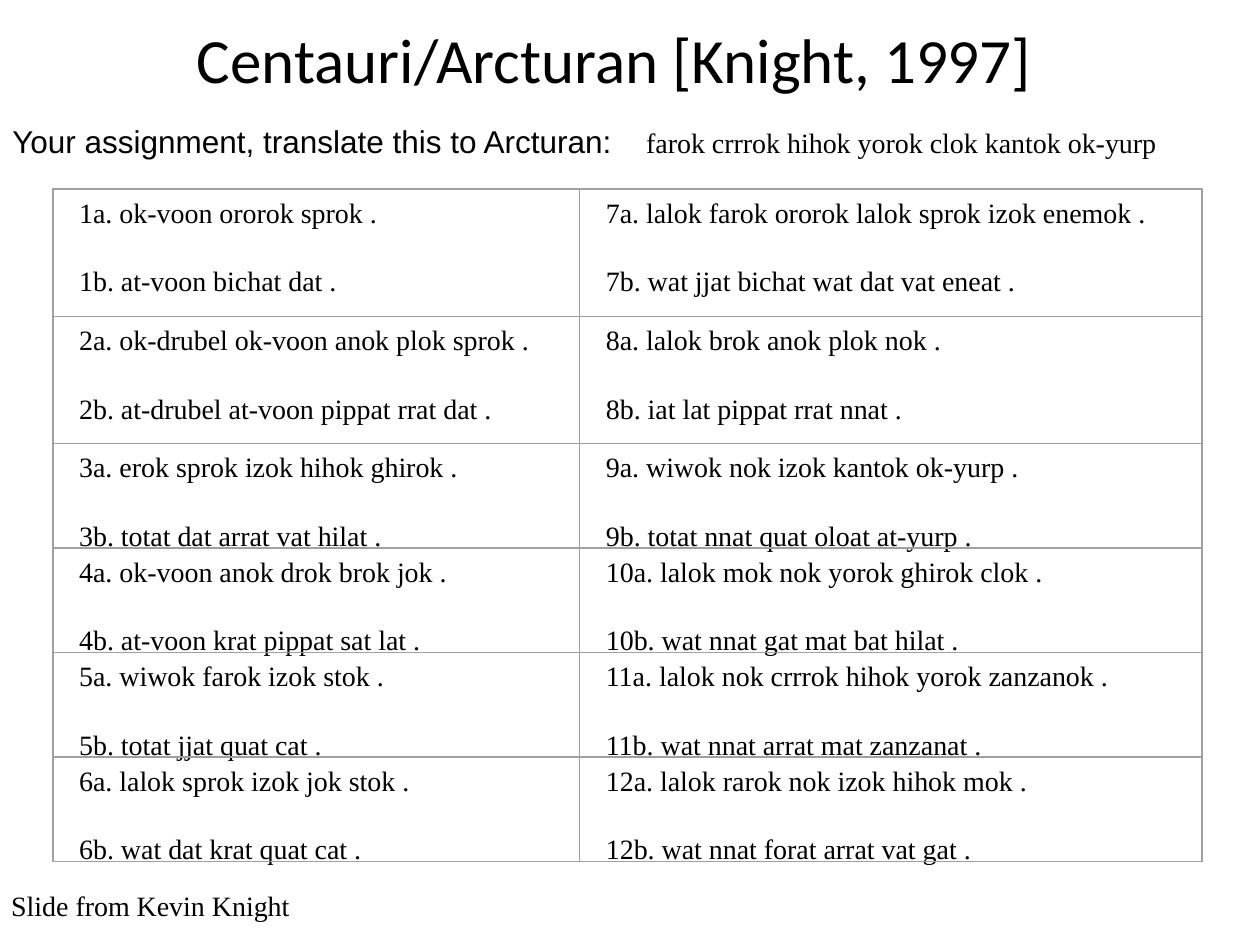
from pptx import Presentation
from pptx.dml.color import RGBColor
from pptx.enum.shapes import MSO_SHAPE
from pptx.enum.text import MSO_ANCHOR, PP_ALIGN
from pptx.oxml import parse_xml
from pptx.oxml.ns import nsdecls
from pptx.util import Inches, Pt

BLACK = RGBColor(0x00, 0x00, 0x00)
GREY = RGBColor(0xA0, 0xA0, 0xA0)
SERIF = "Times New Roman"

GRID_LEFT, GRID_TOP = 0.42, 1.5
COLUMN_WIDTHS = [4.18, 4.94]
ROW_HEIGHTS = [1.01, 1.01] + [0.83] * 4
CELL_PADDING = 0.11

SENTENCE_PAIRS = [
    ("ok-voon ororok sprok .", "at-voon bichat dat ."),
    ("ok-drubel ok-voon anok plok sprok .", "at-drubel at-voon pippat rrat dat ."),
    ("erok sprok izok hihok ghirok .", "totat dat arrat vat hilat ."),
    ("ok-voon anok drok brok jok .", "at-voon krat pippat sat lat ."),
    ("wiwok farok izok stok .", "totat jjat quat cat ."),
    ("lalok sprok izok jok stok .", "wat dat krat quat cat ."),
    ("lalok farok ororok lalok sprok izok enemok .", "wat jjat bichat wat dat vat eneat ."),
    ("lalok brok anok plok nok .", "iat lat pippat rrat nnat ."),
    ("wiwok nok izok kantok ok-yurp .", "totat nnat quat oloat at-yurp ."),
    ("lalok mok nok yorok ghirok clok .", "wat nnat gat mat bat hilat ."),
    ("lalok nok crrrok hihok yorok zanzanok .", "wat nnat arrat mat zanzanat ."),
    ("lalok rarok nok izok hihok mok .", "wat nnat forat arrat vat gat ."),
]


def add_run(paragraph, text, *, size=16, font=SERIF, color=BLACK):
    run = paragraph.add_run()
    run.text = text
    run.font.size = Pt(size)
    run.font.name = font
    run.font.color.rgb = color


def add_tab_stop(paragraph, position):
    properties = paragraph._p.get_or_add_pPr()
    properties.append(parse_xml(
        f'<a:tabLst {nsdecls("a")}><a:tab pos="{Inches(position)}" algn="l"/></a:tabLst>'))


class SlideBuilder:
    def __init__(self, slide):
        self.slide = slide
        self.grid = slide.shapes.add_group_shape()

    def text_box(self, box, *, shapes=None, wrap=True, anchor=MSO_ANCHOR.TOP):
        """Add an empty text box and return its text frame."""
        shapes = shapes or self.slide.shapes
        frame = shapes.add_textbox(*map(Inches, box)).text_frame
        frame.word_wrap = wrap
        frame.vertical_anchor = anchor
        return frame

    def outline(self, box, width):
        shape = self.grid.shapes.add_shape(MSO_SHAPE.RECTANGLE, *map(Inches, box))
        shape.shadow.inherit = False
        shape.fill.background()
        shape.line.color.rgb = GREY
        shape.line.width = Pt(width)

    def cell(self, box, number, pair):
        left, top, width, height = box
        text_area = (left + CELL_PADDING, top, width - 2 * CELL_PADDING, height)
        frame = self.text_box(text_area, shapes=self.grid.shapes)
        first, second = frame.paragraphs[0], frame.add_paragraph()
        add_run(first, f"{number}a. {pair[0]}")
        add_run(second, f"{number}b. {pair[1]}")
        second.space_before = Pt(20)
        self.outline(box, 0)

    def sentence_grid(self):
        left = GRID_LEFT
        numbered_pairs = enumerate(SENTENCE_PAIRS, start=1)
        for width in COLUMN_WIDTHS:
            top = GRID_TOP
            for height in ROW_HEIGHTS:
                self.cell((left, top, width, height), *next(numbered_pairs))
                top += height
            left += width
        self.outline((GRID_LEFT, GRID_TOP, sum(COLUMN_WIDTHS), sum(ROW_HEIGHTS)), 0.75)

    def title(self, text):
        frame = self.text_box((0.25, 0, 9.25, 0.92), anchor=MSO_ANCHOR.MIDDLE)
        paragraph = frame.paragraphs[0]
        paragraph.alignment = PP_ALIGN.CENTER
        add_run(paragraph, text, size=36, font="Calibri")

    def assignment(self, instruction, sentence):
        paragraph = self.text_box((0, 0.92, 9.33, 0.4)).paragraphs[0]
        add_tab_stop(paragraph, 5.03)
        add_run(paragraph, instruction + "\t", size=18, font="Arial")
        add_run(paragraph, sentence)

    def credit(self, text):
        frame = self.text_box((-0.01, 7, 2.42, 0.37), wrap=False)
        add_run(frame.paragraphs[0], text)


def main():
    presentation = Presentation()
    presentation.slide_width = Inches(10)
    presentation.slide_height = Inches(7.5)
    builder = SlideBuilder(presentation.slides.add_slide(presentation.slide_layouts[6]))
    builder.title("Centauri/Arcturan [Knight, 1997]")
    builder.sentence_grid()
    builder.assignment("Your assignment, translate this to Arcturan:",
                       "farok crrrok hihok yorok clok kantok ok-yurp")
    builder.credit("Slide from Kevin Knight")
    presentation.save("out.pptx")


if __name__ == "__main__":
    main()
